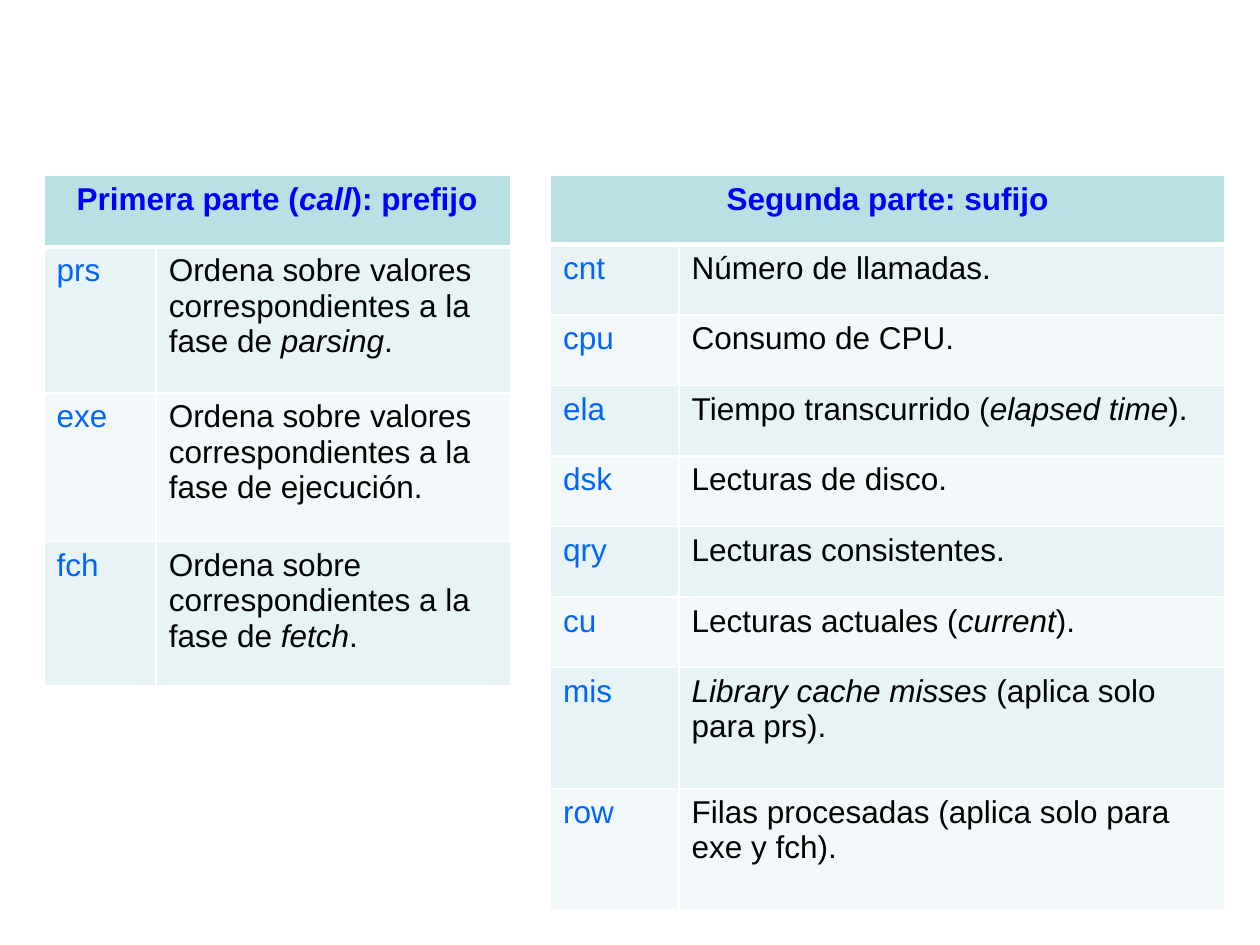
from lxml import etree
from pptx import Presentation, util as u
from pptx.dml.color import RGBColor
from pptx.enum import text as t
from pptx.oxml.ns import qn

HUES = {"head": "BBE0E3", "odd": "E7F3F4", "even": "F3F9FA", "edge": "FFFFFF",
        "title": "0000FF", "key": "0066FF", "body": "000000"}

deck = Presentation()
deck.slide_width, deck.slide_height = u.Inches(10), u.Inches(7.5)
slide = deck.slides.add_slide(deck.slide_layouts[6])


def write(cell, words, hue, bold=False, align=t.PP_ALIGN.LEFT):
    """Fill a cell with text; words between asterisks are italic."""
    para = cell.text_frame.paragraphs[0]
    para.alignment = align
    for i, part in enumerate(words.split("*")):
        if part:
            run = para.add_run()
            run.text = part
            font = run.font
            font.name, font.size = "Arial", u.Pt(18)
            font.bold, font.italic = bold, i % 2 == 1
            font.color.rgb = RGBColor.from_string(HUES[hue])


def dress(cell, fill, base):
    """Set the fill and the four borders of a cell."""
    cell.fill.solid()
    cell.fill.fore_color.rgb = RGBColor.from_string(HUES[fill])
    props = cell._tc.get_or_add_tcPr()
    for i, (side, wide) in enumerate((("L", 1), ("R", 1), ("T", 1), ("B", base))):
        line = etree.Element(qn(f"a:ln{side}"), w=str(u.Pt(wide)))
        solid = etree.SubElement(line, qn("a:solidFill"))
        etree.SubElement(solid, qn("a:srgbClr"), val=HUES["edge"])
        props.insert(i, line)


# Left edge, column widths, row heights, heading and entries of each table
TOP = 1.39
tables = [
    (0.35, [0.89, 2.81], [0.57, 1.16, 1.18, 1.14], "Primera parte (*call*): prefijo", [
        ("prs", "Ordena sobre valores correspondientes a la fase de *parsing*."),
        ("exe", "Ordena sobre valores correspondientes a la fase de ejecución."),
        ("fch", "Ordena sobre correspondientes a la fase de *fetch*.")]),
    (4.37, [1.02, 4.33], [0.55] + [0.56] * 6 + [0.96] * 2, "Segunda parte: sufijo", [
        ("cnt", "Número de llamadas."),
        ("cpu", "Consumo de CPU."),
        ("ela", "Tiempo transcurrido (*elapsed time*)."),
        ("dsk", "Lecturas de disco."),
        ("qry", "Lecturas consistentes."),
        ("cu", "Lecturas actuales (*current*)."),
        ("mis", "*Library cache misses *(aplica solo para prs)."),
        ("row", "Filas procesadas (aplica solo para exe y fch).")]),
]

for left, cols, rows, head, items in tables:
    grid = slide.shapes.add_table(
        len(rows), len(cols), u.Inches(left), u.Inches(TOP),
        u.Inches(sum(cols)), u.Inches(sum(rows))).table
    for col, wide in zip(grid.columns, cols):
        col.width = u.Inches(wide)
    for row, high in zip(grid.rows, rows):
        row.height = u.Inches(high)

    # Heading across both columns
    grid.cell(0, 0).merge(grid.cell(0, 1))
    write(grid.cell(0, 0), head, "title", bold=True, align=t.PP_ALIGN.CENTER)
    for c in range(2):
        dress(grid.cell(0, c), "head", 3)

    # Banded entries
    for r, item in enumerate(items, 1):
        for c, hue in enumerate(("key", "body")):
            write(grid.cell(r, c), item[c], hue)
            dress(grid.cell(r, c), "odd" if r % 2 else "even", 1)
            if r == 1:
                grid.cell(r, c)._tc.tcPr.find(qn("a:lnT")).set("w", str(u.Pt(3)))

deck.save("out.pptx")
